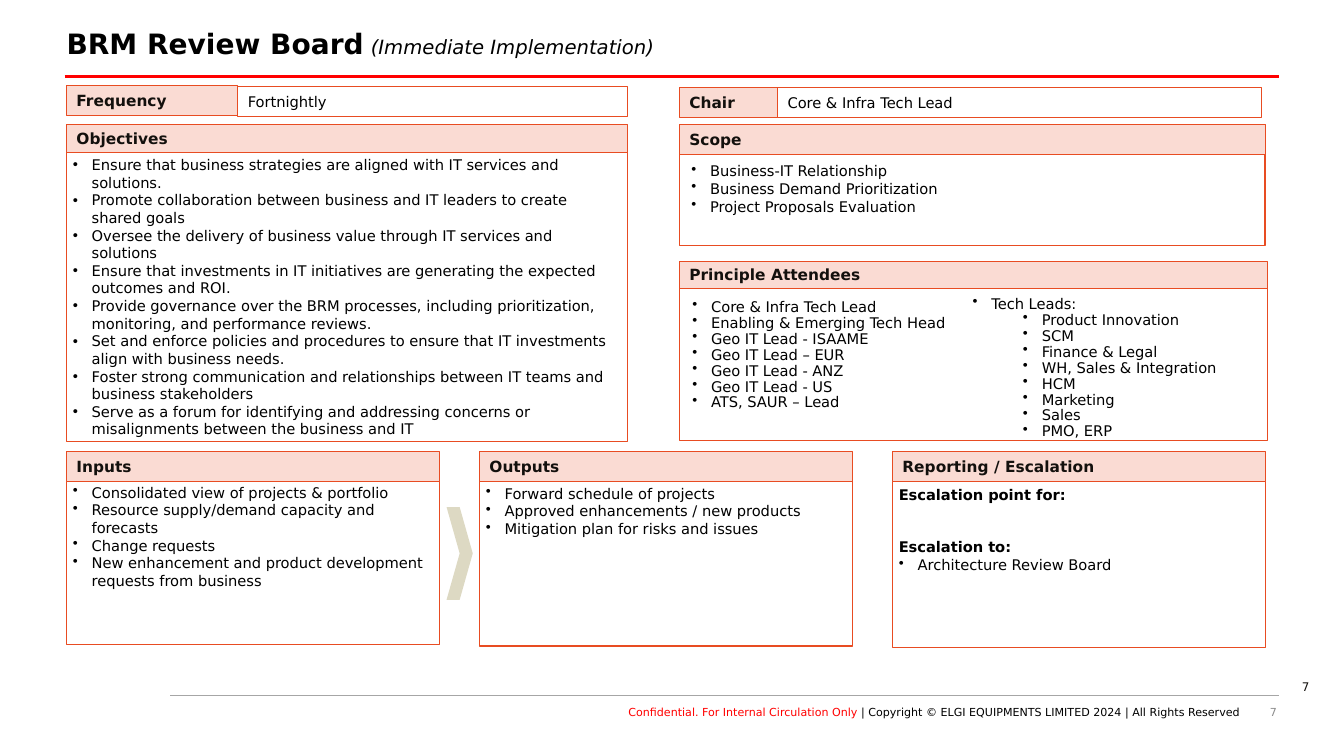
import pptx
import pptx.util
import pptx.dml.color
import pptx.enum.shapes
import pptx.enum.text
import pptx.oxml
import pptx.oxml.ns

Pt = pptx.util.Pt
RGBColor = pptx.dml.color.RGBColor
SHAPE = pptx.enum.shapes.MSO_SHAPE
LINE = pptx.enum.shapes.MSO_CONNECTOR.STRAIGHT
TOP = pptx.enum.text.MSO_ANCHOR.TOP
MID = pptx.enum.text.MSO_ANCHOR.MIDDLE
LEFT = pptx.enum.text.PP_ALIGN.LEFT
RIGHT = pptx.enum.text.PP_ALIGN.RIGHT

BLACK = RGBColor(0x00, 0x00, 0x00)
INK = RGBColor(0x13, 0x10, 0x0D)
WHITE = RGBColor(0xFF, 0xFF, 0xFF)
RED = RGBColor(0xFF, 0x00, 0x00)
ORANGE = RGBColor(0xE8, 0x4C, 0x22)
PINK = RGBColor(0xFA, 0xDB, 0xD3)
SAND = RGBColor(0xDD, 0xD9, 0xC3)
GREY = RGBColor(0x8C, 0x8C, 0x8C)
RULE = RGBColor(0xA6, 0xA6, 0xA6)

HEAD = {"size": Pt(11), "bold": True}
BODY = {"size": Pt(10.5), "bold": False}
BOLD = {"size": Pt(10.5), "bold": True}
FOOT = {"size": Pt(7.9)}
WIDE = (7.2, 3.6, 7.2, 3.6)
SLIM = (4.5, 2.7, 4.5, 2.7)
NONE = (0, 0, 0, 0)


def style(shape, spot, fill=None, edge=None, inset=WIDE, anchor=TOP):
    for key, val in zip(("left", "top", "width", "height"), spot):
        setattr(shape, key, Pt(val))
    shape.shadow.inherit = False
    if fill is None:
        shape.fill.background()
    else:
        shape.fill.solid()
        shape.fill.fore_color.rgb = fill
    if edge is None:
        shape.line.fill.background()
    else:
        shape.line.color.rgb = edge
        shape.line.width = Pt(0.75)
    frame = shape.text_frame
    frame.word_wrap = True
    frame.auto_size = pptx.enum.text.MSO_AUTO_SIZE.NONE
    frame.vertical_anchor = anchor
    for side, val in zip(("left", "top", "right", "bottom"), inset):
        setattr(frame, "margin_" + side, Pt(val))
    return frame


def write(frame, runs, dent=0, **form):
    para = frame.paragraphs[0]
    if para.runs:
        para = frame.add_paragraph()
    base = {"alignment": LEFT, "space_before": Pt(0), "line_spacing": 1.0}
    for key, val in {**base, **form}.items():
        setattr(para, key, val)
    props = para._p.get_or_add_pPr()
    props.set("marL", str(Pt(dent)))
    props.set("indent", str(Pt(-13.5 if dent else 0)))
    mark = pptx.oxml.ns.qn("a:buChar" if dent else "a:buNone")
    bullet = props.makeelement(mark, {"char": "•"} if dent else {})
    props.append(bullet)
    for text, tint, font in runs:
        run = para.add_run()
        run.text = text
        run.font.name = "DejaVu Sans"
        run.font.color.rgb = tint
        for key, val in font.items():
            setattr(run.font, key, val)


deck = pptx.Presentation()
deck.slide_width, deck.slide_height = Pt(960), Pt(540)
slide = deck.slides.add_slide(deck.slide_layouts[1])
shapes = slide.shapes

frame = style(shapes.title, (47.5, 18, 833.8, 28.8), inset=(0, 3.6, 7.2, 3.6))
write(frame, [
    ("BRM Review Board", BLACK, {"size": Pt(20), "bold": True}),
    (" ", BLACK, {"size": Pt(14), "bold": True}),
    ("(Immediate Implementation)", BLACK, {"size": Pt(14), "bold": False, "italic": True}),
], line_spacing=0.9)

for start, top, tint, width in ((121.7, 496.8, RULE, 0.5), (46.1, 54.7, RED, 2.25)):
    line = shapes.add_connector(LINE, Pt(start), Pt(top), Pt(913.7), Pt(top))
    line.line.color.rgb = tint
    line.line.width = Pt(width)
    line._element.spPr.append(pptx.oxml.parse_xml(
        '<a:effectLst xmlns:a="http://schemas.openxmlformats.org/drawingml/2006/main"/>'))

goals = [
    "Ensure that business strategies are aligned with IT services and solutions.",
    "Promote collaboration between business and IT leaders to create shared goals",
    "Oversee the delivery of business value through IT services and solutions",
    "Ensure that investments in IT initiatives are generating the expected outcomes and ROI.",
    "Provide governance over the BRM processes, including prioritization, monitoring, and performance reviews.",
    "Set and enforce policies and procedures to ensure that IT investments align with business needs.",
    "Foster strong communication and relationships between IT teams and business stakeholders",
    "Serve as a forum for identifying and addressing concerns or misalignments between the business and IT",
]
frame = style(slide.placeholders[1], (47.5, 108.7, 401, 206.6), WHITE, ORANGE, SLIM)
for goal in goals:
    write(frame, [(goal, BLACK, BODY)], 13.5)

for spot in ((485.3, 110.2, 418.3, 65.5), (485.3, 205.9, 419.8, 108.7)):
    style(shapes.add_shape(SHAPE.RECTANGLE, 0, 0, 0, 0), spot, None, ORANGE)

lists = [
    ["Consolidated view of projects & portfolio",
     "Resource supply/demand capacity and forecasts",
     "Change requests",
     "New enhancement and product development requests from business"],
    ["Forward schedule of projects",
     "Approved enhancements / new products",
     "Mitigation plan for risks and issues"],
    [],
]
for col, items in enumerate(lists):
    spot = (47.5 + 295 * col, 342.7 + 0.75 * col, 266.4, 118)
    frame = style(shapes.add_shape(SHAPE.RECTANGLE, 0, 0, 0, 0), spot, WHITE, ORANGE, SLIM)
    for item in items:
        write(frame, [(item, BLACK, BODY)], 13.5)
write(frame, [("Escalation point for:", BLACK, BOLD)])
write(frame, [("Escalation to:", BLACK, BOLD)], space_before=Pt(25))
write(frame, [("Architecture Review Board", BLACK, BODY)], 13.5)

heads = [
    ("Frequency", (47.5, 61.2, 122.4, 21.6)),
    ("Chair", (485.3, 62.6, 70.5, 21.6)),
    ("Objectives", (47.5, 88.6, 401, 20.1)),
    ("Scope", (485.3, 88.6, 419, 21.6)),
    ("Principle Attendees", (485.3, 186.5, 419.8, 19.4)),
    ("Inputs", (47.5, 322.6, 266.4, 21.6)),
    ("Outputs", (342.5, 322.6, 266.4, 21.2)),
    ("Reporting / Escalation", (637.5, 322.6, 266.4, 21.6)),
]
facts = [
    ("Fortnightly", (169.9, 61.9, 278.6, 21.6)),
    ("Core & Infra Tech Lead", (555.5, 62.6, 345.6, 21.6)),
]
for group, fill, tint, font in ((heads, PINK, INK, HEAD), (facts, WHITE, BLACK, BODY)):
    for text, spot in group:
        frame = style(shapes.add_shape(SHAPE.RECTANGLE, 0, 0, 0, 0), spot, fill, ORANGE, anchor=MID)
        write(frame, [(text, tint, font)])

style(shapes.add_shape(SHAPE.CHEVRON, 0, 0, 0, 0), (319, 362.2, 18.7, 66.2), SAND)

scope = ["Business-IT Relationship", "Business Demand Prioritization", "Project Proposals Evaluation"]
leads = ["Core & Infra Tech Lead", "Enabling & Emerging Tech Head", "Geo IT Lead - ISAAME",
         "Geo IT Lead – EUR", "Geo IT Lead - ANZ", "Geo IT Lead - US", "ATS, SAUR – Lead"]
teams = ["Product Innovation", "SCM", "Finance & Legal", "WH, Sales & Integration",
         "HCM", "Marketing", "Sales", "PMO, ERP"]
notes = [
    ((486.7, 112.3, 416.9, 45.4), scope, [], 1.0),
    ((487.4, 210.2, 217.4, 107.3), leads, [], Pt(11.4)),
    ((687.6, 208.1, 250.6, 107.3), ["Tech Leads:"], teams, Pt(11.4)),
]
for spot, items, subs, space in notes:
    frame = style(shapes.add_textbox(0, 0, 0, 0), spot)
    for level, group in enumerate((items, subs)):
        for item in group:
            write(frame, [(item, BLACK, BODY)], 13.5 + 36 * level, level=level, line_spacing=space)

feet = [
    ((696.2, 504, 216, 14.4), NONE, [("7", GREY, FOOT)]),
    ((177.1, 504, 708.5, 14.4), NONE, [
        ("Conﬁdential. For Internal Circulation Only ", RED, FOOT),
        ("| Copyright © ELGI EQUIPMENTS LIMITED 2024 | All Rights Reserved", BLACK, FOOT)]),
    ((726.5, 481.7, 216, 28.8), WIDE, [("7", INK, {"size": Pt(8.5)})]),
]
for spot, inset, runs in feet:
    frame = style(shapes.add_textbox(0, 0, 0, 0), spot, inset=inset)
    write(frame, runs, alignment=RIGHT)

deck.save("out.pptx")
